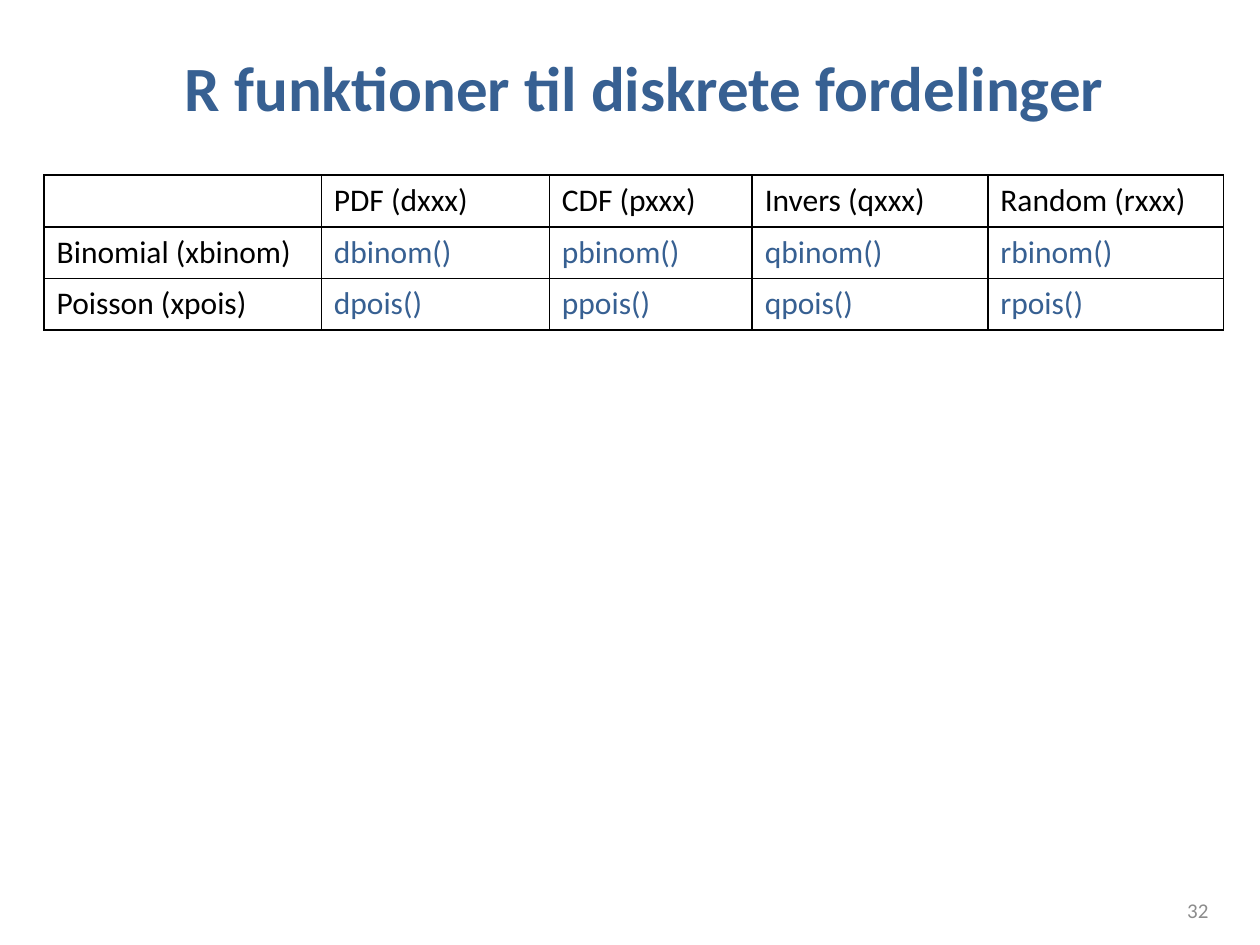
from lxml import etree
from pptx import Presentation
from pptx.dml.color import RGBColor
from pptx.enum.text import MSO_ANCHOR, PP_ALIGN
from pptx.oxml.ns import qn
from pptx.util import Inches, Pt

MIDDLE = MSO_ANCHOR.MIDDLE
LEFT, CENTER, RIGHT = PP_ALIGN.LEFT, PP_ALIGN.CENTER, PP_ALIGN.RIGHT
TITLE_ONLY = 5

COLORS = {"blue": "376092", "black": "000000", "gray": "8C8C8C"}
FONT = "Calibri"

HEADS = ["", "PDF (dxxx)", "CDF (pxxx)", "Invers (qxxx)", "Random (rxxx)"]
LAWS = [("Binomial", "binom"), ("Poisson", "pois")]
WIDTHS = [2.2, 1.81, 1.61, 1.87, 1.87]
ROW_HEIGHT = 0.41


def write(frame, text, size=18, color="black", bold=False, align=LEFT):
    """Put one formatted line of text in a text frame."""
    line = frame.paragraphs[0]
    line.alignment = align
    run = line.add_run()
    run.text = text
    font = run.font
    font.name, font.size, font.bold = FONT, Pt(size), bold
    font.color.rgb = RGBColor.from_string(COLORS[color])


def add_title(slide, text):
    title = slide.shapes.title
    title.left, title.top = Inches(0.51), Inches(0.3)
    title.width, title.height = Inches(9.21), Inches(0.77)
    title.text_frame.vertical_anchor = MIDDLE
    write(title.text_frame, text, size=36, color="blue", bold=True, align=CENTER)


def add_border(cell):
    """Draw a thin black line on all four sides of a cell."""
    props = cell._tc.get_or_add_tcPr()
    for place, side in enumerate(("lnL", "lnR", "lnT", "lnB")):
        line = etree.Element(qn(f"a:{side}"), w=str(Pt(1)))
        fill = etree.SubElement(line, qn("a:solidFill"))
        etree.SubElement(fill, qn("a:srgbClr"), val=COLORS["black"])
        props.insert(place, line)


def add_grid(slide, rows):
    frame = slide.shapes.add_table(
        len(rows), len(WIDTHS), Inches(0.35), Inches(1.39),
        Inches(sum(WIDTHS)), Inches(ROW_HEIGHT * len(rows)))
    table = frame.table
    table.first_row = table.horz_banding = False
    for col, width in zip(table.columns, WIDTHS):
        col.width = Inches(width)
    for r, row in enumerate(rows):
        table.rows[r].height = Inches(ROW_HEIGHT)
        for c, text in enumerate(row):
            cell = table.cell(r, c)
            cell.fill.background()
            add_border(cell)
            if text:
                write(cell.text_frame, text, color="blue" if r and c else "black")


def add_number(slide, text):
    box = slide.shapes.add_textbox(
        Inches(7.36), Inches(7.06), Inches(2.33), Inches(0.32))
    frame = box.text_frame
    frame.word_wrap = True
    frame.vertical_anchor = MIDDLE
    write(frame, text, size=12, color="gray", align=RIGHT)


def main():
    deck = Presentation()
    deck.slide_width, deck.slide_height = Inches(10), Inches(7.5)
    slide = deck.slides.add_slide(deck.slide_layouts[TITLE_ONLY])

    add_title(slide, "R funktioner til diskrete fordelinger")

    # One row per distribution, one function per prefix letter
    rows = [HEADS]
    for name, stem in LAWS:
        rows.append([f"{name} (x{stem})"] + [f"{kind}{stem}()" for kind in "dpqr"])
    add_grid(slide, rows)

    # Slide number
    add_number(slide, "32")
    deck.save("out.pptx")


if __name__ == "__main__":
    main()
